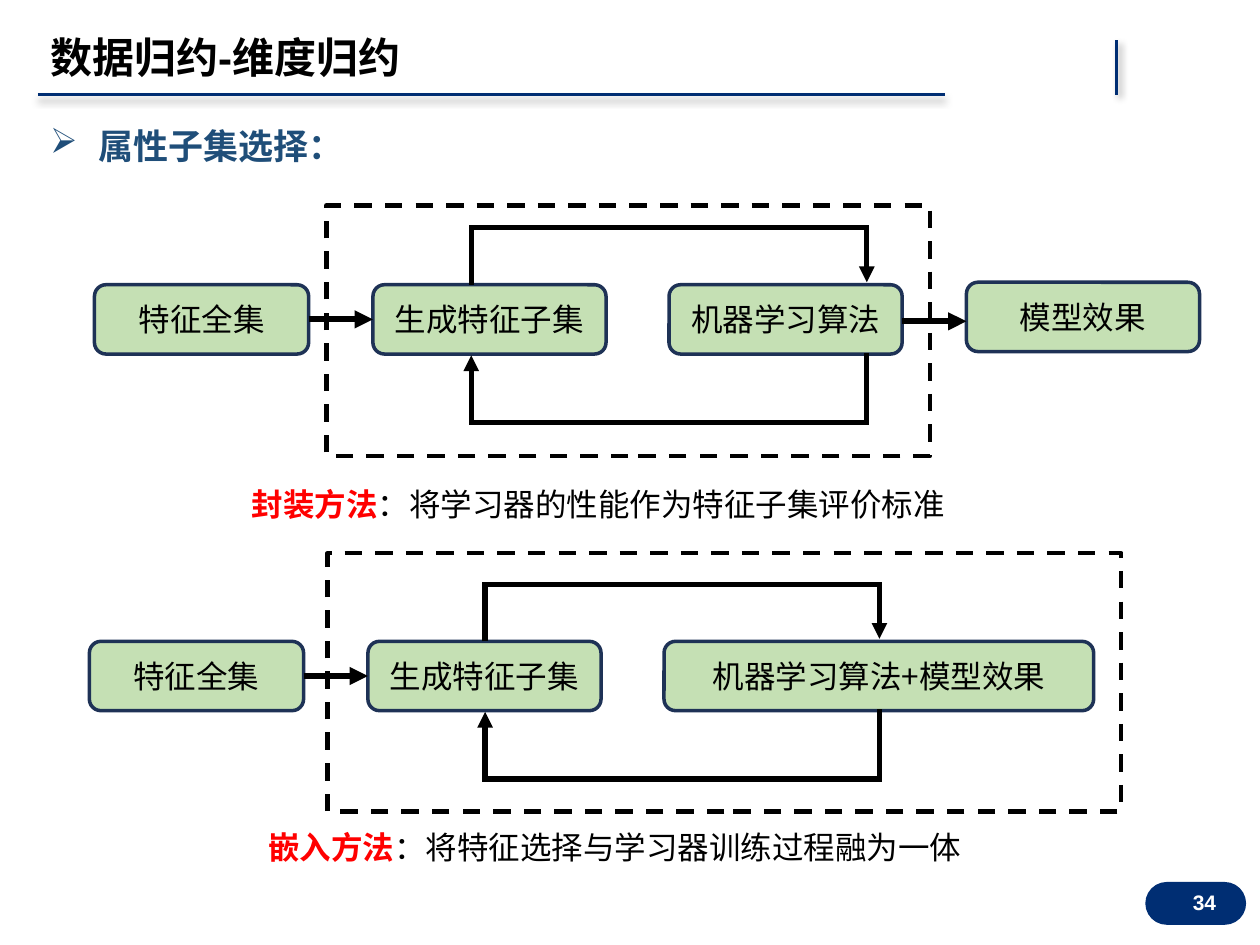
from lxml.etree import SubElement
from pptx import Presentation
from pptx.dml.color import RGBColor
from pptx.enum.dml import MSO_LINE_DASH_STYLE as Dash
from pptx.enum.shapes import MSO_CONNECTOR as Connector, MSO_SHAPE as Shape
from pptx.enum.text import MSO_ANCHOR as Anchor, PP_ALIGN as Align
from pptx.oxml.ns import qn
from pptx.util import Inches, Pt

# The slide is a grid of 100 columns by 75 rows
WIDTH, HEIGHT = Inches(10), Inches(7.5)
COLUMNS, ROWS = 100, 75

NAVY = RGBColor(0x00, 0x2E, 0x73)
BLUE = RGBColor(0x1F, 0x4E, 0x79)
OUTLINE = RGBColor(0x1E, 0x32, 0x56)
GREEN = RGBColor(0xC5, 0xE0, 0xB4)
RED = RGBColor(0xFF, 0x00, 0x00)
BLACK = RGBColor(0x00, 0x00, 0x00)
WHITE = RGBColor(0xFF, 0xFF, 0xFF)

CJK, LATIN = "Noto Sans CJK SC", "Arial"
BOX_ROWS = 5.5


def col(number):
    return round(WIDTH * number / COLUMNS)


def row(number):
    return round(HEIGHT * number / ROWS)


def area(left, top, width, height):
    return col(left), row(top), col(width), row(height)


def add_run(paragraph, text, size, color, bold=False, font_name=CJK):
    run = paragraph.add_run()
    run.text = text
    font = run.font
    font.size, font.bold, font.name = Pt(size), bold, font_name
    font.color.rgb = color
    SubElement(run._r.get_or_add_rPr(), qn("a:ea"), typeface=CJK)


def add_text(slide, place, anchor=Anchor.TOP, wrap=True):
    """Add a text box and return its first paragraph."""
    frame = slide.shapes.add_textbox(*area(*place)).text_frame
    frame.word_wrap = wrap
    frame.vertical_anchor = anchor
    return frame.paragraphs[0]


def add_panel(slide, preset, place, fill=None, line=None, weight=2):
    shape = slide.shapes.add_shape(preset, *area(*place))
    shape.shadow.inherit = False
    if fill is None:
        shape.fill.background()
    else:
        shape.fill.solid()
        shape.fill.fore_color.rgb = fill
    if line is None:
        shape.line.fill.background()
    else:
        shape.line.color.rgb = line
        shape.line.width = Pt(weight)
    return shape


def add_box(slide, text, left, top, width):
    box = add_panel(slide, Shape.ROUNDED_RECTANGLE,
                    (left, top, width, BOX_ROWS), GREEN, OUTLINE)
    frame = box.text_frame
    frame.word_wrap = True
    frame.vertical_anchor = Anchor.MIDDLE
    paragraph = frame.paragraphs[0]
    paragraph.alignment = Align.CENTER
    add_run(paragraph, text, 18, BLACK)
    return box


def add_line(slide, start, end, color, weight, kind=Connector.STRAIGHT):
    """Add a connector and return it with its empty effect list."""
    line = slide.shapes.add_connector(
        kind, col(start[0]), row(start[1]), col(end[0]), row(end[1]))
    line.line.color.rgb = color
    line.line.width = Pt(weight)
    effects = SubElement(line._element.spPr, qn("a:effectLst"))
    return line, effects


def add_head(line):
    outline = line.line._get_or_add_ln()
    SubElement(outline, qn("a:miter"), lim="800000")
    SubElement(outline, qn("a:tailEnd"), type="triangle")


def add_arrow(slide, start, end):
    arrow, _ = add_line(slide, start, end, BLACK, 3.5)
    add_head(arrow)
    return arrow


def add_rule(slide, start, end, angle):
    """Add a navy line with a soft shadow falling at an angle."""
    _, effects = add_line(slide, start, end, NAVY, 1.5)
    shadow = SubElement(effects, qn("a:outerShdw"), blurRad=str(Pt(4)),
                        dist=str(Pt(3)), dir=str(angle * 60000),
                        algn="tl", rotWithShape="0")
    color = SubElement(shadow, qn("a:srgbClr"), val="000000")
    SubElement(color, qn("a:alpha"), val="40000")


def add_loop(slide, left, right, level, depth, upward):
    """Add a U-shaped arrow: rightward above the boxes, or leftward below."""
    drop, span = 0.2, right - left
    loop, _ = add_line(slide, (0, 0), (drop, span), BLACK, 3, Connector.ELBOW)
    # A quarter turn about the centre lays the elbow on its side
    loop.left = col((left + right - drop) / 2)
    loop.top = row(level - span / 2)
    loop.rotation = 90
    if upward:
        transform = loop._element.spPr.find(qn("a:xfrm"))
        transform.set("flipH", "1")
        transform.set("flipV", "1")
    guides = loop._element.spPr.find(qn("a:prstGeom")).get_or_add_avLst()
    SubElement(guides, qn("a:gd"), name="adj1",
               fmla=f"val {round(depth / drop * 100000)}")
    add_head(loop)


def add_method(slide, left, top, boxes, loop_ends, frame, caption):
    """Draw one selection method: boxes, arrows, dashed frame, caption."""
    shapes = [add_box(slide, text, left + offset, top, width)
              for text, offset, width in boxes]

    middle = top + BOX_ROWS / 2
    arrow = add_arrow(slide, (left + boxes[0][2], middle),
                      (left + boxes[1][1], middle))
    arrow.begin_connect(shapes[0], 3)
    arrow.end_connect(shapes[1], 1)

    add_loop(slide, *loop_ends, top - 0.1, 4.5, upward=True)
    add_loop(slide, *loop_ends, top + BOX_ROWS, 5.5, upward=False)

    border = add_panel(slide, Shape.RECTANGLE, frame, line=BLACK, weight=2.5)
    border.line.dash_style = Dash.DASH

    name, meaning, caption_left, caption_top = caption
    paragraph = add_text(slide, (caption_left, caption_top, 57, 4), wrap=False)
    add_run(paragraph, name, 18, RED, bold=True)
    add_run(paragraph, meaning, 18, BLACK)


def add_header(slide):
    # Page number badge
    badge = add_panel(slide, Shape.ROUNDED_RECTANGLE, (90.9, 70, 8, 3.4), NAVY)
    badge.adjustments[0] = 0.5
    add_rule(slide, (88.6, 3.2), (88.6, 7.5), 45)
    add_rule(slide, (3, 7.5), (75, 7.5), 90)
    number = add_text(slide, (75, 69.6, 22.5, 4), Anchor.MIDDLE)
    number.alignment = Align.RIGHT
    add_run(number, "34", 12, WHITE, True, LATIN)

    # Bulleted heading
    heading = add_text(slide, (3, 9.4, 78.1, 4.4))
    properties = heading._p.get_or_add_pPr()
    properties.set("marL", str(col(3.8)))
    properties.set("indent", str(-col(3.8)))
    SubElement(properties, qn("a:buChar"), char="➢")
    add_run(heading, "属性子集选择：", 20, BLUE, bold=True)

    # Title
    title = add_text(slide, (3, 2.7, 72, 4.1), Anchor.MIDDLE)
    title.line_spacing = 0.9
    add_run(title, "数据归约-维度归约", 24, BLACK, True, LATIN)


def main():
    presentation = Presentation()
    presentation.slide_width, presentation.slide_height = WIDTH, HEIGHT
    slide = presentation.slides.add_slide(presentation.slide_layouts[6])
    add_header(slide)

    # Boxes shared by both methods: text, offset from the left, width
    shared = [("特征全集", 0, 17), ("生成特征子集", 22.1, 18.5)]

    # Wrapper method, with its result outside the frame
    add_method(slide, 7.5, 22.6, shared + [("机器学习算法", 45.6, 18.5)],
               (37.4, 68.8), (25.9, 16.3, 47.9, 19.9),
               ("封装方法", "：将学习器的性能作为特征子集评价标准", 19, 38))
    add_box(slide, "模型效果", 76.7, 22.4, 18.5)
    add_arrow(slide, (71.6, 25.5), (76.7, 25.5))

    # Embedded method
    add_method(slide, 7.1, 50.9, shared + [("机器学习算法+模型效果", 45.6, 34.1)],
               (38.5, 69.8), (26, 43.9, 63, 20.5),
               ("嵌入方法", "：将特征选择与学习器训练过程融为一体", 20.3, 65.2))

    presentation.save("out.pptx")


if __name__ == "__main__":
    main()
